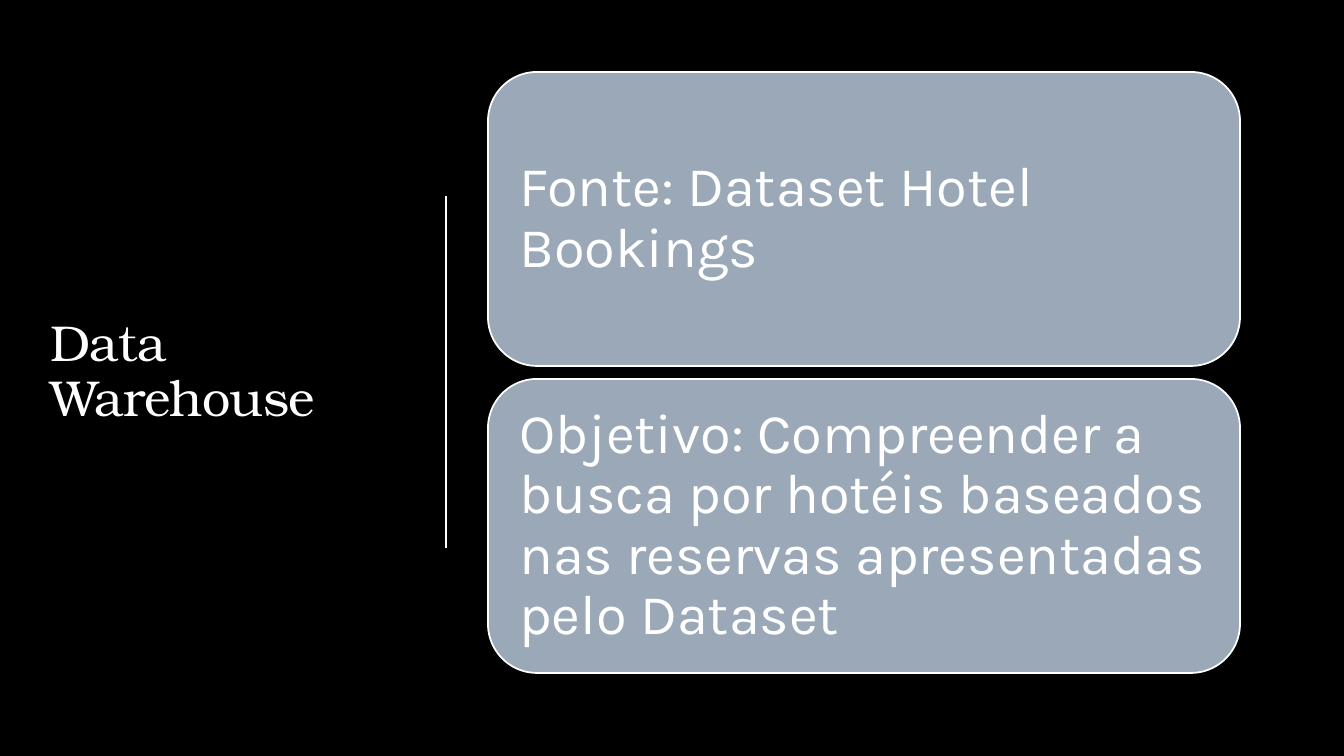
from dataclasses import dataclass

from lxml.etree import SubElement
from pptx import Presentation
from pptx.dml.color import RGBColor
from pptx.enum.shapes import MSO_CONNECTOR as Link, MSO_SHAPE as Shape
from pptx.enum.text import MSO_ANCHOR as Anchor, PP_ALIGN as Align
from pptx.oxml.ns import qn
from pptx.util import Emu, Pt

SCALE = 914400 / 100.8
WHITE, BLACK, SLATE = "FFFFFF", "000000", "9BA8B7"


@dataclass
class Style:
    font: str
    size: int
    pad_x: int
    pad_y: int
    track: int = 0


HEAD = Style("TeX Gyre Bonum", 36, 10, 5, -50)
BODY = Style("Karla", 40, 17, 17)

CARDS = [
    "Fonte: Dataset Hotel Bookings",
    "Objetivo: Compreender a busca por hotéis baseados "
    "nas reservas apresentadas pelo Dataset",
]
LEFT, TOP, WIDTH, HEIGHT, STEP = 488, 72, 752, 294, 307


def px(n: int) -> Emu:
    return Emu(round(n * SCALE))


def color(code: str) -> RGBColor:
    return RGBColor.from_string(code)


def apply(part, values: dict) -> None:
    for name, value in values.items():
        setattr(part, name, value)


def write(frame, text: str, style: Style) -> None:
    apply(frame, {
        "word_wrap": True, "vertical_anchor": Anchor.MIDDLE,
        "margin_left": px(style.pad_x), "margin_right": px(style.pad_x),
        "margin_top": px(style.pad_y), "margin_bottom": px(style.pad_y),
    })
    para = frame.paragraphs[0]
    apply(para, {"alignment": Align.LEFT, "line_spacing": 0.9})
    run = para.add_run()
    run.text = text
    apply(run.font, {"name": style.font, "size": Pt(style.size)})
    run.font.color.rgb = color(WHITE)
    if style.track:
        run.font._element.set("spc", str(style.track))


def stroke(line, width: float) -> None:
    line.color.rgb = color(WHITE)
    line.width = Pt(width)


def card(slide, top: int, text: str) -> None:
    box = slide.shapes.add_shape(
        Shape.ROUNDED_RECTANGLE, px(LEFT), px(top), px(WIDTH), px(HEIGHT))
    box.shadow.inherit = False
    box.fill.solid()
    box.fill.fore_color.rgb = color(SLATE)
    stroke(box.line, 1.25)
    write(box.text_frame, text, BODY)


def main() -> None:
    deck = Presentation()
    apply(deck, {"slide_width": px(1344), "slide_height": px(756)})
    slide = deck.slides.add_slide(deck.slide_layouts[6])
    fill = slide.background.fill
    fill.solid()
    fill.fore_color.rgb = color(BLACK)

    # Title
    title = slide.shapes.add_textbox(px(40), px(71), px(370), px(603))
    write(title.text_frame, "Data Warehouse", HEAD)

    # Divider
    rule = slide.shapes.add_connector(
        Link.STRAIGHT, px(446), px(196), px(446), px(548))
    stroke(rule.line, 1.5)
    SubElement(rule._element.spPr, qn("a:effectLst"))

    # Cards
    for row, text in enumerate(CARDS):
        card(slide, TOP + row * STEP, text)

    deck.save("out.pptx")


if __name__ == "__main__":
    main()
